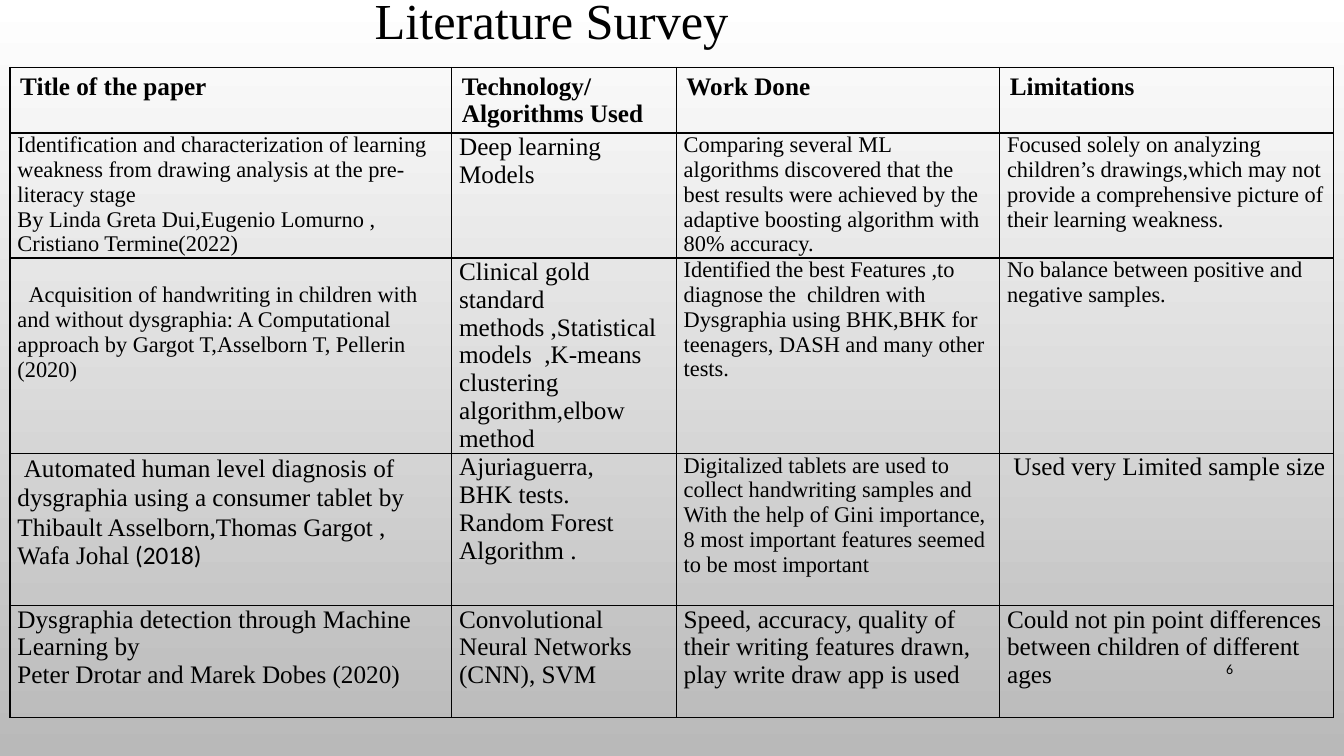
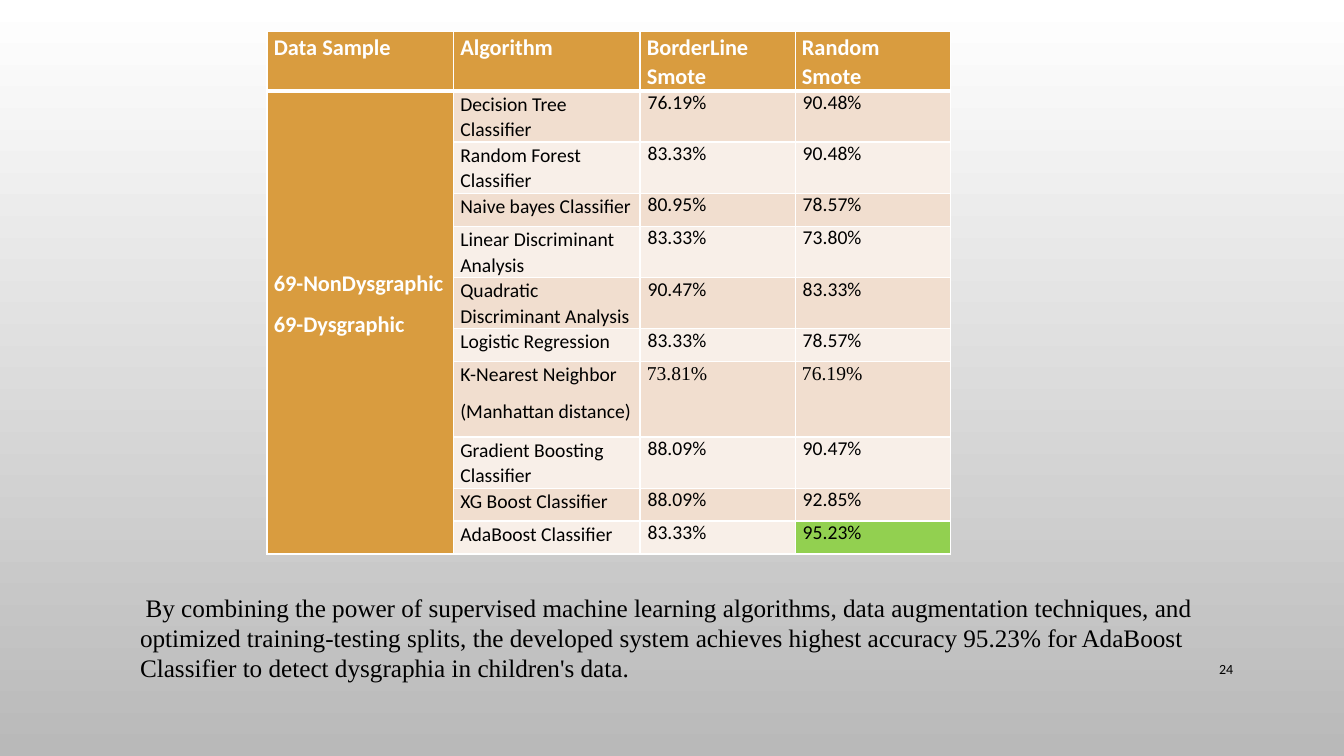
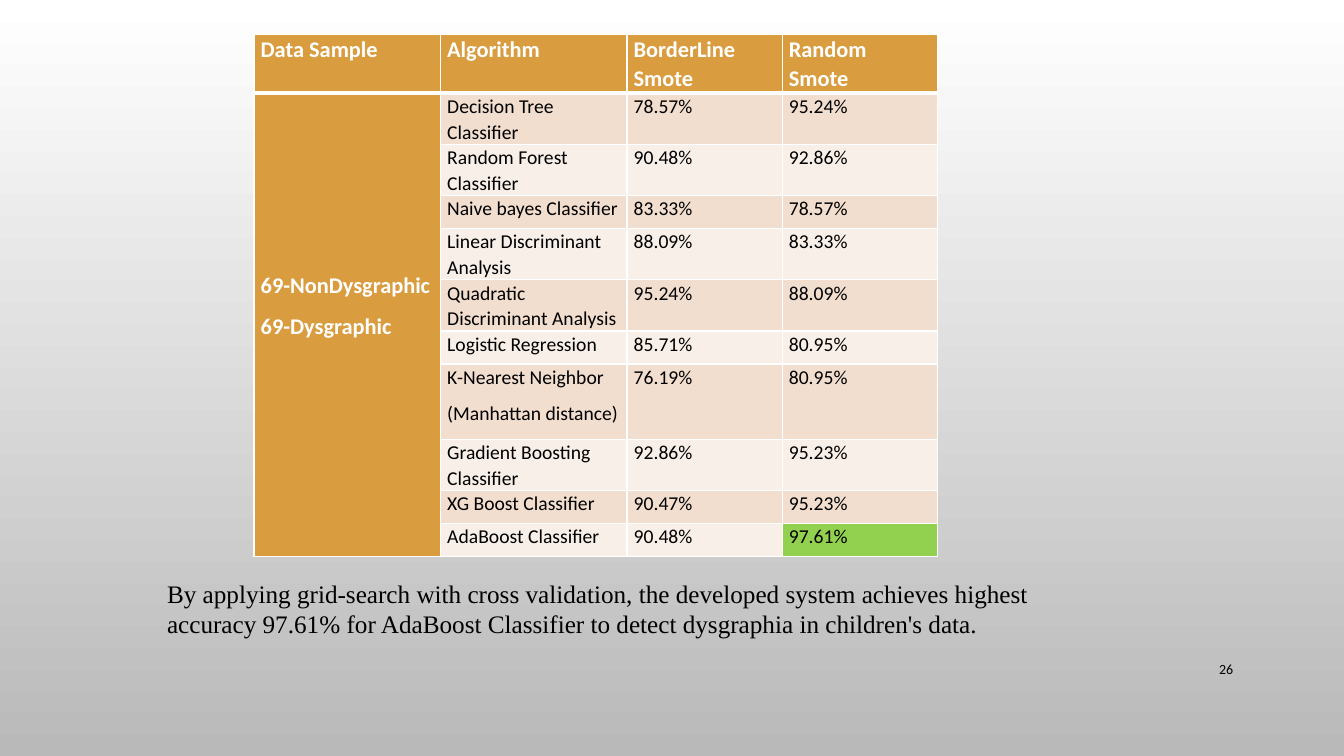
from dataclasses import dataclass

from lxml import etree
from pptx import Presentation
from pptx.dml.color import RGBColor
from pptx.enum.text import MSO_ANCHOR, MSO_AUTO_SIZE, PP_ALIGN
from pptx.oxml.ns import qn
from pptx.util import Cm, Pt

TOP, MIDDLE = MSO_ANCHOR.TOP, MSO_ANCHOR.MIDDLE
LEFT, RIGHT = PP_ALIGN.LEFT, PP_ALIGN.RIGHT
NO_AUTOFIT = MSO_AUTO_SIZE.NONE
TITLE_ONLY, BLANK = 5, 6


@dataclass(frozen=True)
class Theme:
    serif: str = "Times New Roman"
    sans: str = "Calibri"
    ink: str = "000000"
    white: str = "FFFFFF"
    shade: str = "B9B9B9"
    accent: str = "D99C3F"
    band_dark: str = "F1DECF"
    band_light: str = "F8EFE8"
    highlight: str = "92D050"
    title: int = 36
    body: int = 18
    heading: int = 16
    small: int = 16
    value: int = 14
    number: int = 10


THEME = Theme()
SPACED = dict(spacing=1.07, after=8)


def write(frame, paragraphs, size=THEME.body, font=THEME.serif, color=THEME.ink,
          bold=False, align=LEFT, spacing=None, after=None, indent=0, anchor=TOP):
    frame.word_wrap = True
    frame.vertical_anchor = anchor
    for index, content in enumerate(paragraphs):
        paragraph = frame.paragraphs[0] if index == 0 else frame.add_paragraph()
        paragraph.alignment = align
        if spacing:
            paragraph.line_spacing = spacing
        if after:
            paragraph.space_after = Pt(after)
        if indent and index == 0:
            paragraph._p.get_or_add_pPr().set("indent", str(Cm(indent)))
        runs = [(content, font)] if isinstance(content, str) else content
        for words, typeface in runs:
            run = paragraph.add_run()
            run.text = words
            run.font.size = Pt(size)
            run.font.name = typeface
            run.font.bold = bold
            run.font.color.rgb = RGBColor.from_string(color)


def entry(*paragraphs, fill=None, insets=(0.19, 0, 0.19, 0), **style):
    return paragraphs, fill, insets, style


def draw_borders(cell, color, top=1, bottom=1):
    properties = cell._tc.get_or_add_tcPr()
    for side, width in (("L", 1), ("R", 1), ("T", top), ("B", bottom)):
        line = etree.SubElement(properties, qn(f"a:ln{side}"), w=str(Pt(width)))
        paint = etree.SubElement(line, qn("a:solidFill"))
        etree.SubElement(paint, qn("a:srgbClr"), val=color)


class Deck:
    def __init__(self, theme):
        self.theme = theme
        self.file = Presentation()
        self.file.slide_width = Cm(33.87)
        self.file.slide_height = Cm(19.05)
        self.slide = None
        backdrop = self.file.slide_master.background.fill
        backdrop.gradient()
        backdrop.gradient_angle = 270
        for stop, color in zip(backdrop.gradient_stops, (theme.white, theme.shade)):
            stop.color.rgb = RGBColor.from_string(color)

    def add_slide(self, number, layout=BLANK):
        self.slide = self.file.slides.add_slide(self.file.slide_layouts[layout])
        self.text([str(number)], 29.2, 16.35, 2.13, 1.02, size=self.theme.number,
                  font=self.theme.sans, align=RIGHT, anchor=MIDDLE)

    def title(self, words, left, top, width, height):
        heading = self.slide.shapes.title
        heading.left, heading.top = Cm(left), Cm(top)
        heading.width, heading.height = Cm(width), Cm(height)
        heading.text_frame.auto_size = NO_AUTOFIT
        write(heading.text_frame, [words], size=self.theme.title)

    def text(self, paragraphs, left, top, width, height, **style):
        box = self.slide.shapes.add_textbox(Cm(left), Cm(top), Cm(width), Cm(height))
        write(box.text_frame, paragraphs, **style)

    def table(self, left, top, widths, heights, entries, border, header_rule=1):
        frame = self.slide.shapes.add_table(
            len(heights), len(widths), Cm(left), Cm(top), Cm(sum(widths)), Cm(sum(heights)))
        table = frame.table
        table.first_row = table.horz_banding = False
        for column, width in zip(table.columns, widths):
            column.width = Cm(width)
        for row, height in zip(table.rows, heights):
            row.height = Cm(height)
        for row_index, row in enumerate(entries):
            for column_index, (paragraphs, fill, insets, style) in enumerate(row):
                cell = table.cell(row_index, column_index)
                draw_borders(cell, border, top=header_rule if row_index == 1 else 1,
                             bottom=header_rule if row_index == 0 else 1)
                if fill:
                    cell.fill.solid()
                    cell.fill.fore_color.rgb = RGBColor.from_string(fill)
                else:
                    cell.fill.background()
                (cell.margin_left, cell.margin_top,
                 cell.margin_right, cell.margin_bottom) = map(Cm, insets)
                write(cell.text_frame, paragraphs, **style)
                cell.vertical_anchor = style.get("anchor", TOP)
        return table

    def results(self, left, top, scores, score_style, exceptions=None):
        theme = self.theme
        label = dict(size=theme.heading, font=theme.sans, color=theme.white, bold=True,
                     fill=theme.accent, **SPACED)
        tight = (0.17, 0, 0.16, 0)
        entries = [[entry(name, insets=tight, **label) for name in RESULT_HEADINGS]]
        for index, (algorithm, pair) in enumerate(zip(ALGORITHMS, scores)):
            band = theme.band_light if index % 2 else theme.band_dark
            sample = SAMPLES if index == 0 else ()
            row = [entry(*sample, insets=(0.17, 0, 0.16, 0.97), anchor=MIDDLE, **label),
                   entry(*algorithm, insets=tight, fill=band, size=theme.value,
                         font=theme.sans, **SPACED)]
            style = dict(score_style, **(exceptions or {}).get(index, {}))
            for column, score in enumerate(pair):
                best = index == len(ALGORITHMS) - 1 and column == 1
                row.append(entry(f"{score:.2f}%", size=theme.value,
                                 fill=theme.highlight if best else band, **style))
            entries.append(row)
        table = self.table(left, top, (4.7, 4.7, 3.91, 3.91), RESULT_HEIGHTS, entries,
                           theme.white, header_rule=3)
        table.cell(1, 0).merge(table.cell(len(ALGORITHMS), 0))


RESULT_HEADINGS = ("Data Sample", "Algorithm", "BorderLine Smote", "Random Smote")
RESULT_HEIGHTS = (1.49, 1.29, 1.29, 0.83, 1.29, 1.29, 0.83, 1.9, 1.29, 0.83, 0.83)
SAMPLES = ("69-NonDysgraphic", "69-Dysgraphic")
ALGORITHMS = (
    ("Decision Tree Classifier",),
    ("Random Forest Classifier",),
    ("Naive bayes Classifier",),
    ("Linear Discriminant Analysis",),
    ("Quadratic Discriminant Analysis",),
    ("Logistic Regression",),
    ("K-Nearest Neighbor", "(Manhattan distance)"),
    ("Gradient Boosting Classifier",),
    ("XG Boost Classifier",),
    ("AdaBoost Classifier",),
)
NEIGHBOR_ROW = 6
SPLIT_SCORES = (
    (76.19, 90.48), (83.33, 90.48), (80.95, 78.57), (83.33, 73.80), (90.47, 83.33),
    (83.33, 78.57), (73.81, 76.19), (88.09, 90.47), (88.09, 92.85), (83.33, 95.23),
)
GRID_SEARCH_SCORES = (
    (78.57, 95.24), (90.48, 92.86), (83.33, 78.57), (88.09, 83.33), (95.24, 88.09),
    (85.71, 80.95), (76.19, 80.95), (92.86, 95.23), (90.47, 95.23), (90.48, 97.61),
)
SURVEY_HEADINGS = (
    ("Title of the paper",),
    ("Technology/", "Algorithms Used"),
    ("Work Done",),
    ("Limitations",),
)
LARGE = dict(size=THEME.body, spacing=Pt(19.9))
SMALL = dict(size=THEME.small, spacing=Pt(17.7))
NARROWED = (0.19, 0, 0.3, 0)
SURVEY = [
    [entry(*heading, insets=(0.26, 0.13, 0.25, 0), bold=True, **LARGE)
     for heading in SURVEY_HEADINGS],
    [
        entry("Identification and characterization of learning weakness from drawing analysis "
              "at the pre-literacy stage",
              "By Linda Greta Dui,Eugenio Lomurno ,",
              "Cristiano Termine(2022)", **SMALL),
        entry("Deep learning Models", **LARGE),
        entry("Comparing several ML algorithms discovered that the best results were achieved "
              "by the adaptive boosting algorithm with 80% accuracy.",
              insets=NARROWED, **SMALL),
        entry("Focused solely on analyzing children’s drawings,which may not provide a "
              "comprehensive picture of their learning weakness.", **SMALL),
    ],
    [
        entry("Acquisition of handwriting in children with and without dysgraphia: "
              "A Computational approach by Gargot T,Asselborn T, Pellerin",
              "(2020)", insets=(0.19, 0.63, 0.19, 0), indent=0.28, **SMALL),
        entry("Clinical gold standard methods ,Statistical models  ,K-means clustering "
              "algorithm,elbow method", **LARGE),
        entry("Identified the best Features ,to diagnose the  children with Dysgraphia using "
              "BHK,BHK for teenagers, DASH and many other tests.", **SMALL),
        entry("No balance between positive and negative samples.", **SMALL),
    ],
    [
        entry([("Automated human level diagnosis of dysgraphia using a consumer tablet by "
                "Thibault Asselborn,Thomas Gargot , Wafa Johal", THEME.serif),
               (" (2018)", THEME.sans)], insets=NARROWED, indent=0.16, spacing=Pt(21)),
        entry("Ajuriaguerra,", "BHK tests.", "Random Forest Algorithm .", **LARGE),
        entry("Digitalized tablets are used to collect handwriting samples and With the help "
              "of Gini importance, 8 most important features seemed to be most important",
              **SMALL),
        entry("Used very Limited sample size", insets=(0.19, 0, 0.16, 0), indent=0.16, **LARGE),
    ],
    [
        entry("Dysgraphia detection through Machine Learning by",
              "Peter Drotar and Marek Dobes (2020)", **LARGE),
        entry("Convolutional Neural Networks (CNN), SVM", **LARGE),
        entry("Speed, accuracy, quality of their writing features drawn, play write draw app "
              "is used", **LARGE),
        entry("Could not pin point differences between children of different ages", **LARGE),
    ],
]


def main():
    deck = Deck(THEME)
    spaced_score = dict(font=THEME.sans, insets=(0.17, 0, 0.16, 0), **SPACED)

    deck.add_slide(6, TITLE_ONLY)
    deck.title("Literature Survey", 9.19, -0.4, 15.37, 1.8)
    deck.table(0.25, 1.7, (11.13, 5.66, 8.15, 8.41), (1.65, 3.15, 4.92, 3.84, 2.82),
               SURVEY, THEME.ink)

    deck.add_slide(24)
    deck.results(6.73, 0.8, SPLIT_SCORES, dict(font=THEME.sans),
                 {NEIGHBOR_ROW: dict(spaced_score, font=THEME.serif)})
    deck.text(["By combining the power of supervised machine learning algorithms, data "
               "augmentation techniques, and optimized training-testing splits, the developed "
               "system achieves highest accuracy 95.23% for AdaBoost Classifier to detect "
               "dysgraphia in children's data."], 3.28, 14.8, 27.3, 2.57, indent=0.14)

    deck.add_slide(26)
    deck.results(6.4, 0.86, GRID_SEARCH_SCORES, spaced_score)
    deck.text(["By applying grid-search with cross validation, the developed system achieves "
               "highest accuracy 97.61% for AdaBoost Classifier to detect dysgraphia in "
               "children's data."], 3.96, 14.45, 24.51, 1.8)

    deck.file.save("out.pptx")


if __name__ == "__main__":
    main()
